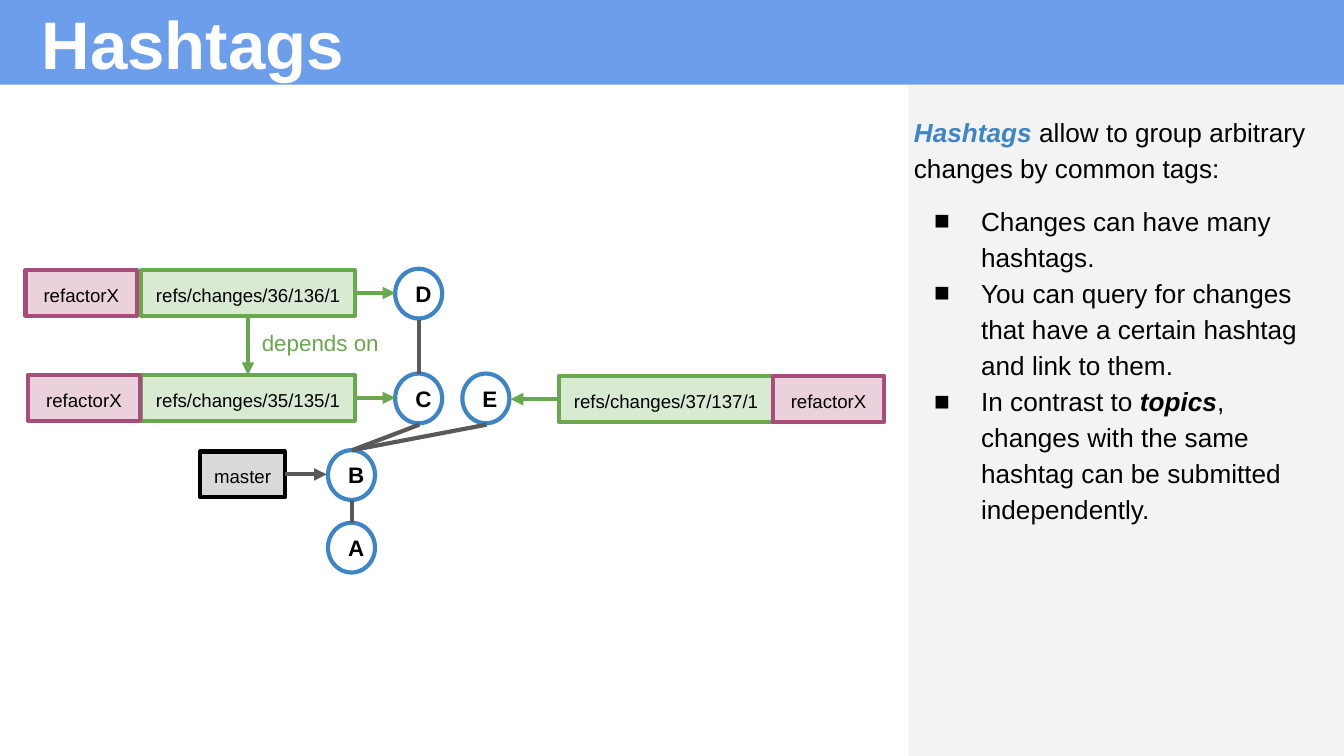
from lxml import etree
from pptx import Presentation
from pptx.dml.color import RGBColor
from pptx.enum.shapes import MSO_CONNECTOR, MSO_SHAPE
from pptx.enum.text import MSO_ANCHOR, MSO_AUTO_SIZE, PP_ALIGN
from pptx.oxml.ns import qn
from pptx.util import Inches, Pt

RECT, OVAL = MSO_SHAPE.RECTANGLE, MSO_SHAPE.OVAL
STRAIGHT = MSO_CONNECTOR.STRAIGHT
TOP, MIDDLE = MSO_ANCHOR.TOP, MSO_ANCHOR.MIDDLE
LEFT, CENTER = PP_ALIGN.LEFT, PP_ALIGN.CENTER
NO_FIT = MSO_AUTO_SIZE.NONE
BLUE, GREEN, GRAY, PINK = "3D85C6", "6AA84F", "595959", "A64D79"


def add_text(sp, paragraphs, size, color="000000", bold=False, align=LEFT, anchor=TOP):
    """Write paragraphs, each a list of (text, format) runs."""
    tf = sp.text_frame
    tf.word_wrap, tf.auto_size, tf.vertical_anchor = True, NO_FIT, anchor
    tf.margin_left = tf.margin_right = tf.margin_top = tf.margin_bottom = Inches(0.1)
    for i, runs in enumerate(paragraphs):
        p = tf.add_paragraph() if i else tf.paragraphs[0]
        p.alignment = align
        p.space_before = Pt(0)
        for text, fmt in runs:
            r = p.add_run()
            r.text = text
            r.font.name, r.font.size = "Arial", Pt(size)
            r.font.bold = fmt.get("bold", bold)
            r.font.italic = fmt.get("italic", False)
            r.font.color.rgb = RGBColor.from_string(fmt.get("color", color))
    return tf


def add_box(kind, x, y, w, h, fill=None, line=None):
    sp = s.shapes.add_shape(kind, Inches(x), Inches(y), Inches(w), Inches(h))
    sp.shadow.inherit = False
    if fill:
        sp.fill.solid()
        sp.fill.fore_color.rgb = RGBColor.from_string(fill)
    else:
        sp.fill.background()
    if line:
        sp.line.color.rgb = RGBColor.from_string(line)
        sp.line.width = Pt(2.25)
    else:
        sp.line.fill.background()
    return sp


# A 16:9 slide
prs = Presentation()
prs.slide_width, prs.slide_height = Inches(10), Inches(10 * 9 / 16)
s = prs.slides.add_slide(prs.slide_layouts[1])
title, body = s.placeholders

# Title band and side panel, behind the placeholders
for i, (x, y, w, h, fill) in enumerate([(0, 0, 10.01, 0.63, "6D9EEB"),
                                        (6.76, 0.64, 3.25, 4.99, "F3F3F3")]):
    sp = add_box(RECT, x, y, w, h, fill)
    s.shapes._spTree.insert(2 + i, sp._element)

# Title
title.left, title.top = Inches(0.21), Inches(-0.1)
title.width, title.height = Inches(8.94), Inches(0.83)
add_text(title, [[("Hashtags", {})]], 36, "FFFFFF", bold=True, anchor=MIDDLE)

# Explanation with bullets
body.left, body.top = Inches(6.7), Inches(0.73)
body.width, body.height = Inches(3.24), Inches(4.81)
strong = {"bold": True, "italic": True}
tf = add_text(body, [
    [("Hashtags", {"color": BLUE, **strong}),
     (" allow to group arbitrary changes by common tags:", {})],
    [("Changes can have many hashtags.", {})],
    [("You can query for changes that have a certain hashtag and link to them.", {})],
    [("In contrast to ", {}), ("topics", strong),
     (", changes with the same hashtag can be submitted independently.", {})],
], 14)
for i, p in enumerate(tf.paragraphs):
    p.line_spacing = 1.15
    p.space_before = Pt(9 if i < 2 else 0)
    pPr = p._p.get_or_add_pPr()
    pPr.set("marL", str(Inches(0.5) if i else 0))
    pPr.set("indent", str(Inches(-0.35) if i else 0))
    if i:
        color = etree.SubElement(pPr, qn("a:buClr"))
        etree.SubElement(color, qn("a:srgbClr"), val="000000")
        etree.SubElement(pPr, qn("a:buFont"), typeface="Arial")
        etree.SubElement(pPr, qn("a:buChar"), char="■")
    else:
        etree.SubElement(pPr, qn("a:buNone"))

# Commits
for name, x, y in [("A", 2.44, 3.89), ("B", 2.44, 3.35), ("C", 2.94, 2.78),
                   ("D", 2.94, 2), ("E", 3.44, 2.78)]:
    sp = add_box(OVAL, x, y, 0.35, 0.37, line=BLUE)
    add_text(sp, [[(name, {})]], 12, bold=True, align=CENTER, anchor=MIDDLE)

# Refs and hashtags
green, pink = ("D9EAD3", GREEN), ("EAD1DC", PINK)
refs = {}
for text, x, y, w, (fill, line) in [
    ("master", 1.49, 3.36, 0.63, ("D9D9D9", "000000")),
    ("refs/changes/36/136/1", 1.05, 2.01, 1.59, green),
    ("refs/changes/35/135/1", 1.05, 2.79, 1.59, green),
    ("refs/changes/37/137/1", 4.16, 2.8, 1.59, green),
    ("refactorX", 5.75, 2.8, 0.83, pink),
    ("refactorX", 0.19, 2.01, 0.83, pink),
    ("refactorX", 0.21, 2.79, 0.83, pink),
]:
    refs[text] = add_box(RECT, x, y, w, 0.34, fill, line)
    add_text(refs[text], [[(text, {})]], 10, align=CENTER)

# Dependency label
label = s.shapes.add_textbox(Inches(1.85), Inches(2.35), Inches(1.26), Inches(0.44))
add_text(label, [[("depends on", {})]], 12, GREEN)

# History lines, and arrows that start at a ref: (ref, side)
change_d, change_c = refs["refs/changes/36/136/1"], refs["refs/changes/35/135/1"]
change_e = refs["refs/changes/37/137/1"]
for x1, y1, x2, y2, color, start, end in [
    (2.62, 3.89, 2.62, 3.72, GRAY, None, None),
    (3.12, 2.78, 3.12, 2.38, GRAY, None, None),
    (2.62, 3.35, 3.12, 3.16, GRAY, None, None),
    (2.62, 3.35, 3.62, 3.16, GRAY, None, None),
    (2.12, 3.53, 2.43, 3.53, GRAY, (refs["master"], 3), None),
    (2.64, 2.18, 2.94, 2.18, GREEN, (change_d, 3), None),
    (2.64, 2.96, 2.94, 2.96, GREEN, (change_c, 3), None),
    (4.16, 2.97, 3.8, 2.97, GREEN, (change_e, 1), None),
    (1.84, 2.35, 1.84, 2.79, GREEN, (change_d, 2), (change_c, 0)),
]:
    c = s.shapes.add_connector(STRAIGHT, Inches(x1), Inches(y1), Inches(x2), Inches(y2))
    c.line.color.rgb = RGBColor.from_string(color)
    c.line.width = Pt(2.25)
    if start:
        c.begin_connect(*start)
        etree.SubElement(c.line._get_or_add_ln(), qn("a:tailEnd"), type="triangle")
    if end:
        c.end_connect(*end)
    etree.SubElement(c._element.spPr, qn("a:effectLst"))

prs.save("out.pptx")
